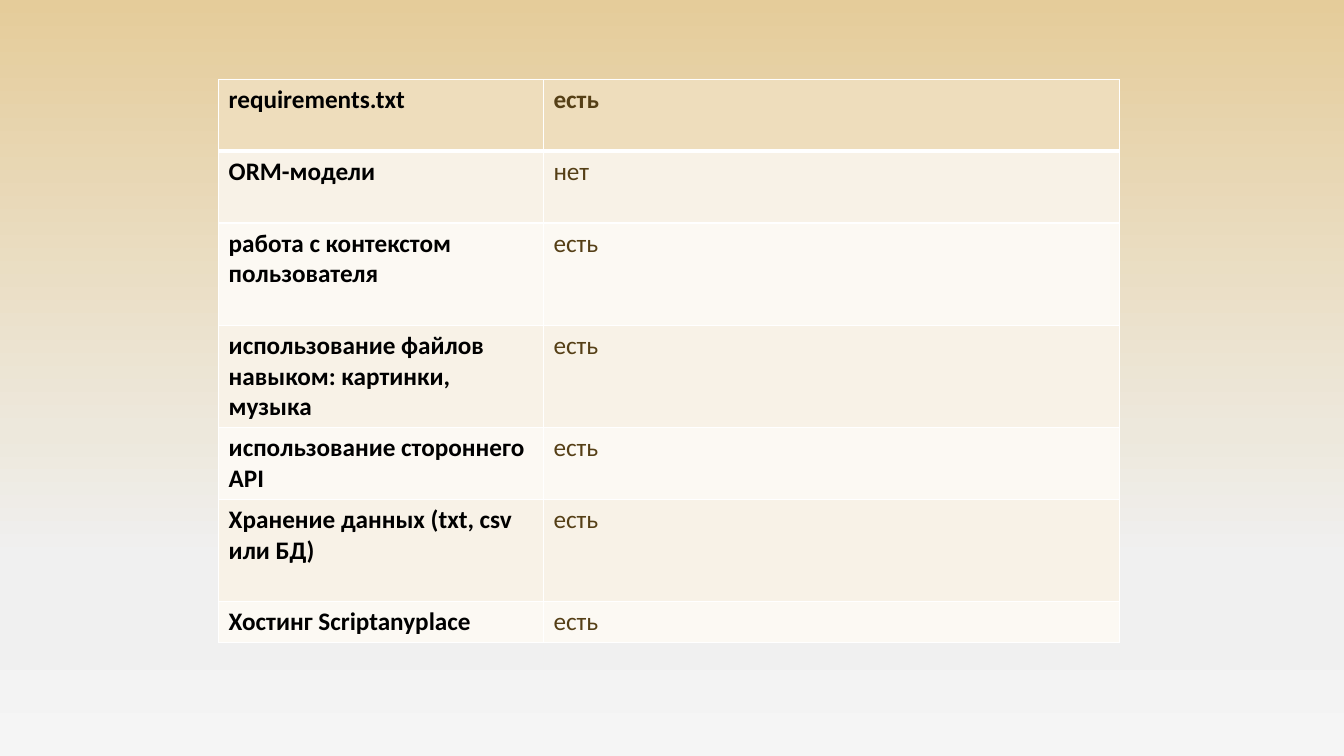
from copy import deepcopy

from lxml.etree import SubElement
from pptx import Presentation
from pptx.dml.color import RGBColor
from pptx.oxml.ns import qn
from pptx.util import Pt

BLACK = RGBColor(0x00, 0x00, 0x00)
WHITE = RGBColor(0xFF, 0xFF, 0xFF)
BROWN = RGBColor(0x55, 0x3F, 0x16)
HEADER_FILL = RGBColor(0xEE, 0xDD, 0xBC)
BAND_FILLS = (RGBColor(0xFC, 0xF9, 0xF3), RGBColor(0xF8, 0xF2, 0xE7))
BACKGROUND_STOPS = (
    (0, RGBColor(0xE5, 0xCC, 0x9A)),
    (0.57, RGBColor(0xED, 0xE8, 0xDC)),
    (0.74, RGBColor(0xF0, 0xF0, 0xF0)),
    (0.83, RGBColor(0xF0, 0xF0, 0xF0)),
    (1, RGBColor(0xF5, 0xF5, 0xF5)),
)

COLUMN_WIDTHS = (232, 411.7)
# Feature, status, row height in points
FEATURES = (
    ("requirements.txt", "есть", 51.2),
    ("ORM-модели", "нет", 51.2),
    ("работа с контекстом пользователя", "есть", 73.1),
    ("использование файлов навыком: картинки, музыка", "есть", 73.1),
    ("использование стороннего API", "есть", 51.2),
    ("Хранение данных (txt, csv или БД)", "есть", 73.1),
    ("Хостинг Scriptanyplace", "есть", 29.2),
)


def paint_background(slide):
    fill = slide.background.fill
    fill.gradient()
    fill.gradient_angle = 270
    stop_list = slide.element.find(".//" + qn("a:gsLst"))
    while len(stop_list) < len(BACKGROUND_STOPS):
        stop_list.append(deepcopy(stop_list[0]))
    for stop, (position, color) in zip(fill.gradient_stops, BACKGROUND_STOPS):
        stop.position = position
        stop.color.rgb = color


def write_text(text_frame, text, color=BLACK, bold=False, size=18, font="Calibri"):
    run = text_frame.paragraphs[0].add_run()
    run.text = text
    run.font.name = font
    run.font.size = Pt(size)
    run.font.bold = bold
    run.font.color.rgb = color


def set_borders(cell, top=1, bottom=1):
    """Draw white cell borders; call before the cell gets its fill."""
    properties = cell._tc.get_or_add_tcPr()
    for side, width in (("L", 1), ("R", 1), ("T", top), ("B", bottom)):
        line = SubElement(properties, qn(f"a:ln{side}"), w=str(Pt(width)))
        fill = SubElement(line, qn("a:solidFill"))
        SubElement(fill, qn("a:srgbClr"), val=str(WHITE))


def add_feature_table(slide, left, top):
    width = sum(COLUMN_WIDTHS)
    height = sum(row_height for *_, row_height in FEATURES)
    table = slide.shapes.add_table(
        len(FEATURES), len(COLUMN_WIDTHS), Pt(left), Pt(top), Pt(width), Pt(height)
    ).table
    table.horz_banding = False
    for column, column_width in zip(table.columns, COLUMN_WIDTHS):
        column.width = Pt(column_width)

    for index, (feature, status, row_height) in enumerate(FEATURES):
        row = table.rows[index]
        row.height = Pt(row_height)
        is_header = index == 0
        for cell in row.cells:
            set_borders(cell, top=3 if index == 1 else 1, bottom=3 if is_header else 1)
            cell.fill.solid()
            cell.fill.fore_color.rgb = HEADER_FILL if is_header else BAND_FILLS[index % 2]
        feature_cell, status_cell = row.cells
        write_text(feature_cell.text_frame, feature, bold=True)
        write_text(status_cell.text_frame, status, color=BROWN, bold=is_header)


def main():
    presentation = Presentation()
    presentation.slide_width = Pt(960)
    presentation.slide_height = Pt(540)
    slide = presentation.slides.add_slide(presentation.slide_layouts[6])
    paint_background(slide)
    add_feature_table(slide, left=156.2, top=56.9)
    presentation.save("out.pptx")


if __name__ == "__main__":
    main()
